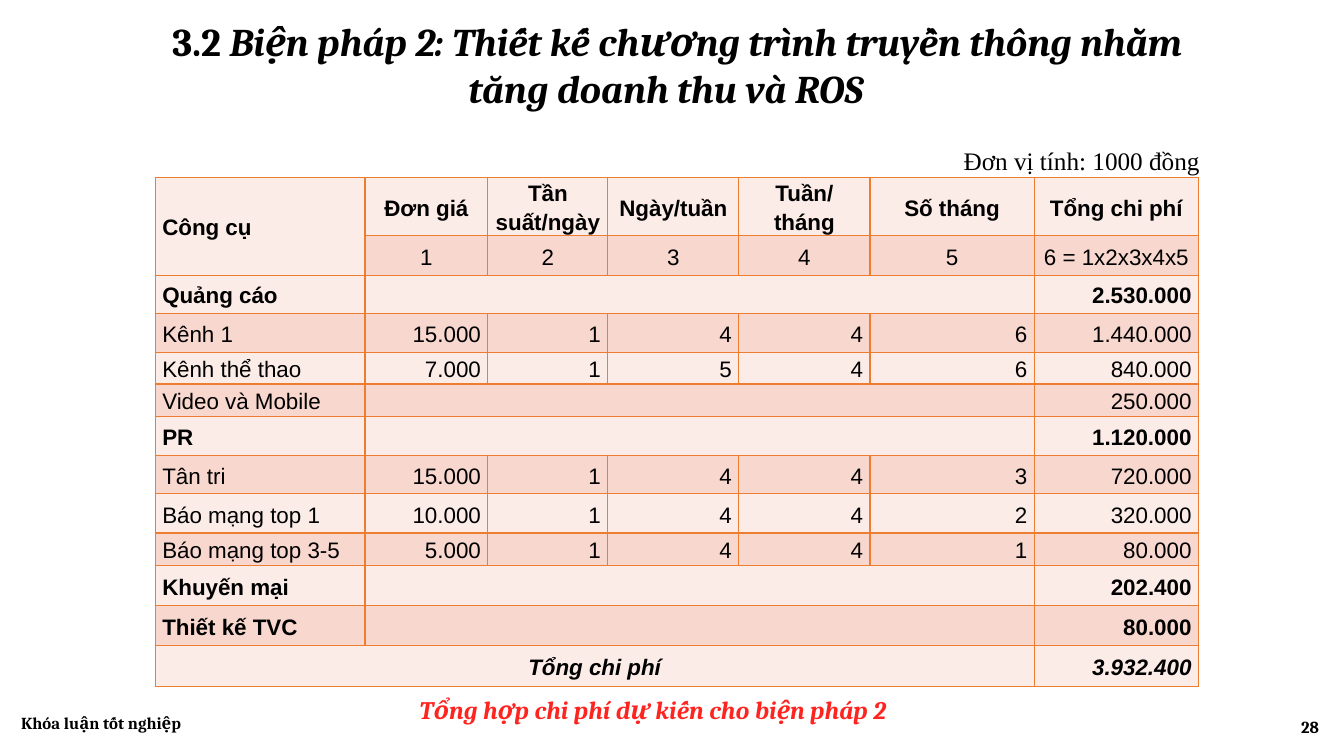
from lxml.etree import SubElement
from pptx import Presentation
from pptx.dml.color import RGBColor
from pptx.enum.text import MSO_ANCHOR, PP_ALIGN
from pptx.oxml.ns import qn
from pptx.util import Emu, Inches, Pt

WIDE, HIGH = Inches(13.33), Inches(7.5)
LEFT, MID, RIGHT = PP_ALIGN.LEFT, PP_ALIGN.CENTER, PP_ALIGN.RIGHT
BLACK, RED, ORANGE = "000000", "FE2520", "ED7D31"
BANDS = "FCECE8", "F8D7CE"

COLS = 208, 122, 119, 130, 130, 163, 163
ROWS = 58, 39, 38, 39, 31, 32, 39, 38, 39, 32, 40, 40, 40
COSTS = [
    ["Công cụ", "Đơn giá", "Tần suất/ngày", "Ngày/tuần", "Tuần/tháng",
     "Số tháng", "Tổng chi phí"],
    ["", "1", "2", "3", "4", "5", "6 = 1x2x3x4x5"],
    ["Quảng cáo", "2.530.000"],
    ["Kênh 1", "15.000", "1", "4", "4", "6", "1.440.000"],
    ["Kênh thể thao", "7.000", "1", "5", "4", "6", "840.000"],
    ["Video và Mobile", "250.000"],
    ["PR", "1.120.000"],
    ["Tân tri", "15.000", "1", "4", "4", "3", "720.000"],
    ["Báo mạng top 1", "10.000", "1", "4", "4", "2", "320.000"],
    ["Báo mạng top 3-5", "5.000", "1", "4", "4", "1", "80.000"],
    ["Khuyến mại", "202.400"],
    ["Thiết kế TVC", "80.000"],
    ["Tổng chi phí", "3.932.400"],
]
HEADS = 2
TOTAL = len(COSTS) - 1
BOLD = {0, 2, 6, 10, 11, TOTAL}


def color(code):
    return RGBColor.from_string(code)


def place(box):
    """Turn percent shares of the slide into lengths."""
    return [Emu(int(side * share / 100))
            for side, share in zip((WIDE, HIGH, WIDE, HIGH), box)]


def style(para, face, size, hue=BLACK, bold=False, slant=False, align=LEFT):
    para.alignment = align
    font = para.font
    font.name, font.size = face, Pt(size)
    font.bold, font.italic = bold, slant
    font.color.rgb = color(hue)


def frame(slide, box, wrap=True, anchor=MSO_ANCHOR.TOP):
    text = slide.shapes.add_textbox(*place(box)).text_frame
    text.word_wrap, text.vertical_anchor = wrap, anchor
    return text


def title(slide, box):
    text = frame(slide, box)
    first, last = text.paragraphs[0], text.add_paragraph()
    lead, rest = first.add_run(), first.add_run()
    lead.text = "3.2 "
    rest.text = "Biện pháp 2: Thiết kế chương trình truyền thông nhằm"
    last.text = "tăng doanh thu và ROS"
    last._p.get_or_add_pPr().set("indent", str(Inches(2.94)))
    style(first, "Cambria", 28, bold=True)
    rest.font.italic = True
    style(last, "Cambria", 28, bold=True, slant=True)


def label(slide, box, words, face, size, wrap=False, anchor=MSO_ANCHOR.TOP,
          space=1.15, **looks):
    para = frame(slide, box, wrap, anchor).paragraphs[0]
    para.text = words
    para.line_spacing = space
    style(para, face, size, **looks)


def footer(slide, box, words, align):
    label(slide, box, words, "Cambria", 12, wrap=True, space=1.0,
          anchor=MSO_ANCHOR.MIDDLE, bold=True, align=align)


def paint(cell, fill):
    """Give a cell its borders, fill and margins."""
    props = cell._tc.get_or_add_tcPr()
    for side in ("lnL", "lnR", "lnT", "lnB"):
        line = SubElement(props, qn("a:" + side), w=str(Pt(1)))
        solid = SubElement(line, qn("a:solidFill"))
        SubElement(solid, qn("a:srgbClr"), val=ORANGE)
    cell.fill.solid()
    cell.fill.fore_color.rgb = color(fill)
    cell.margin_left = cell.margin_right = Inches(0.07)
    cell.margin_top = cell.margin_bottom = 0
    cell.vertical_anchor = MSO_ANCHOR.MIDDLE


def costs(slide, box):
    left, top, width, height = place(box)
    table = slide.shapes.add_table(
        len(ROWS), len(COLS), left, top, width, height).table
    for col, part in zip(table.columns, COLS):
        col.width = Emu(width * part // sum(COLS))
    for row, part in zip(table.rows, ROWS):
        row.height = Emu(height * part // sum(ROWS))

    end = len(COLS) - 1
    for r, words in enumerate(COSTS):
        short = len(words) == 2
        if short:
            words = [words[0]] + [""] * (end - 1) + [words[1]]
        for c, word in enumerate(words):
            cell = table.cell(r, c)
            paint(cell, BANDS[r % 2])
            if c == 0:
                align = MID if r == TOTAL else LEFT
            else:
                align = MID if r < HEADS else RIGHT
            para = cell.text_frame.paragraphs[0]
            para.text = word
            para.line_spacing = 1.15
            style(para, "Arial", 16, bold=r in BOLD, slant=r == TOTAL,
                  align=align)
        if short:
            start = 0 if r == TOTAL else 1
            table.cell(r, start).merge(table.cell(r, end - 1))
    table.cell(0, 0).merge(table.cell(HEADS - 1, 0))


def main():
    deck = Presentation()
    deck.slide_width, deck.slide_height = WIDE, HIGH
    slide = deck.slides.add_slide(deck.slide_layouts[6])
    costs(slide, (11.55, 23.47, 77.64, 67.33))
    title(slide, (12.08, 1.6, 80.05, 13.87))
    label(slide, (29.86, 90.53, 37.43, 5.6),
          "Tổng hợp chi phí dự kiến cho biện pháp 2", "Cambria", 18,
          hue=RED, bold=True, slant=True, align=MID)
    label(slide, (70.97, 18, 19.28, 6), "Đơn vị tính: 1000 đồng",
          "Times New Roman", 18)
    footer(slide, (0.83, 92.93, 22.5, 5.33), "Khóa luận tốt nghiệp", LEFT)
    footer(slide, (76.37, 93.47, 22.5, 5.33), "28", RIGHT)
    deck.save("out.pptx")


if __name__ == "__main__":
    main()
